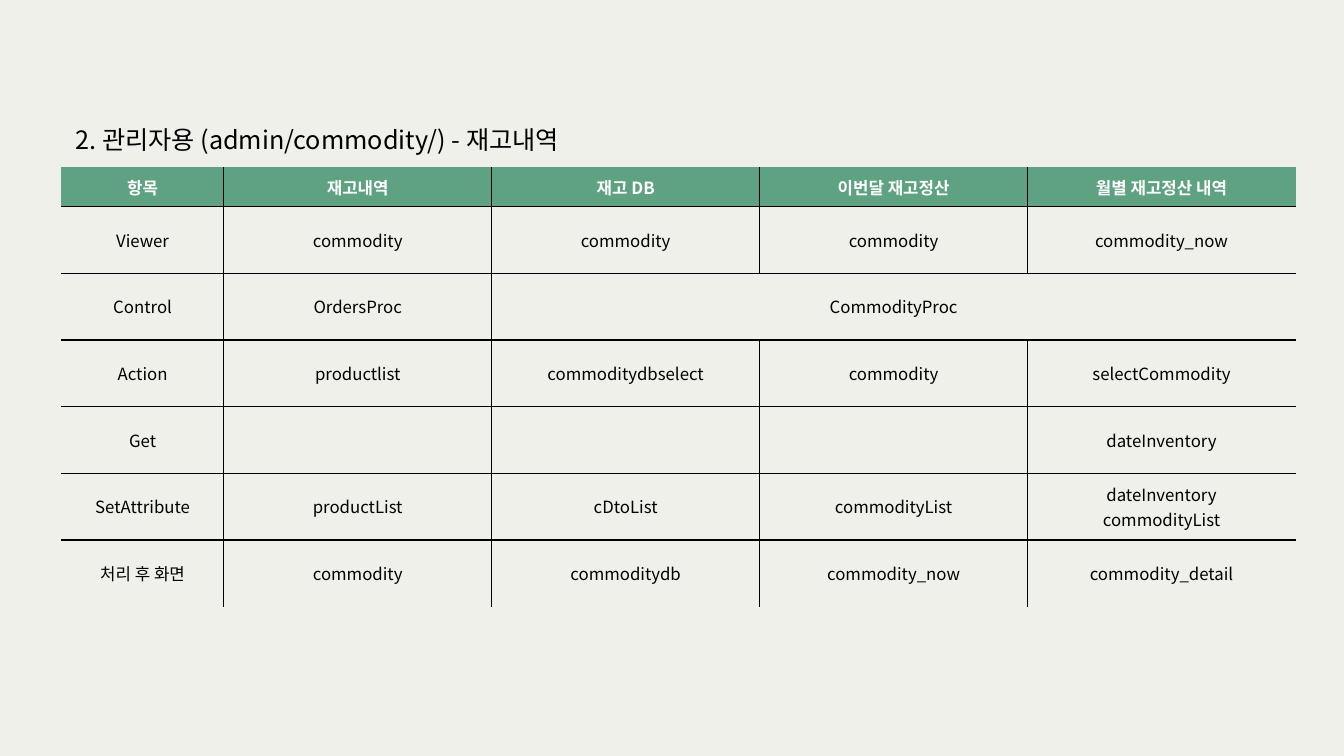
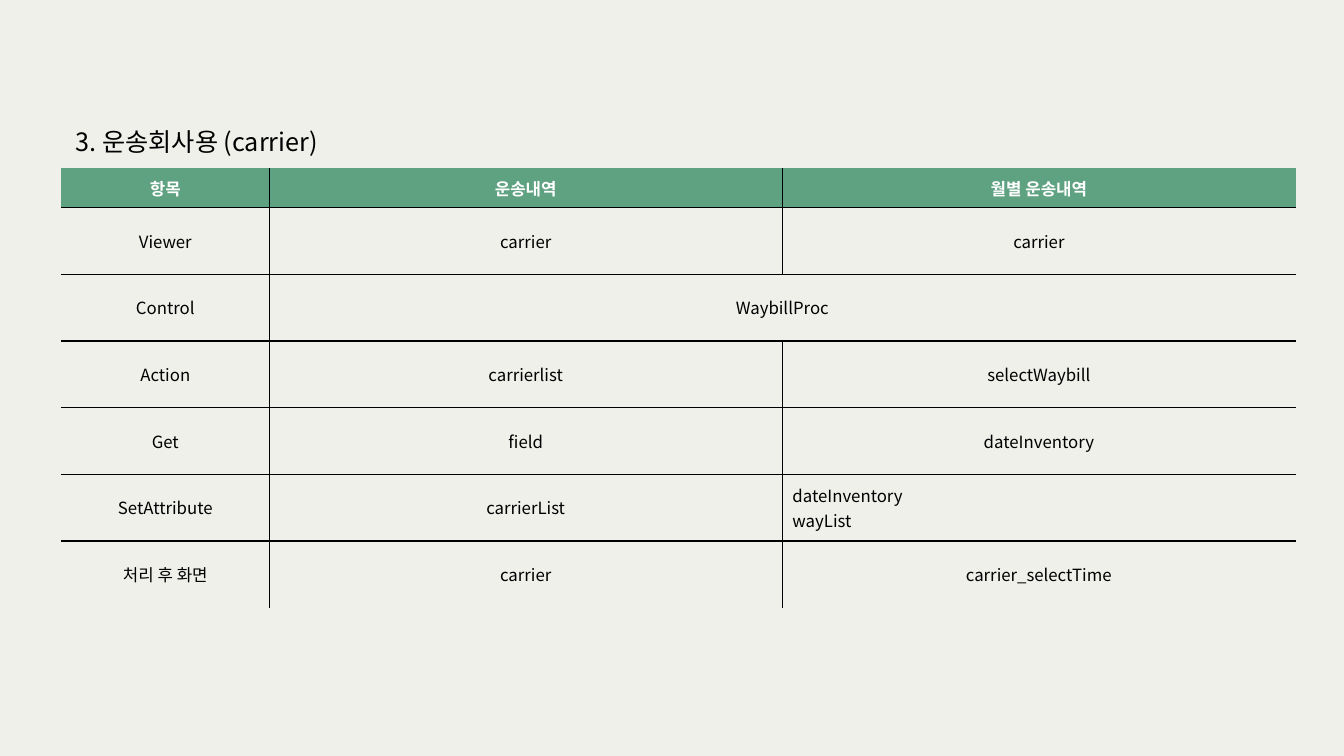
"""Build two slides that map each shop page to its controller, action and view."""
from dataclasses import dataclass

from lxml.etree import SubElement
from pptx import Presentation
from pptx.dml.color import RGBColor
from pptx.enum.text import MSO_ANCHOR, MSO_AUTO_SIZE, PP_ALIGN
from pptx.oxml.ns import qn
from pptx.presentation import Presentation as Deck
from pptx.slide import Slide
from pptx.table import Table, _Cell as Cell
from pptx.text.text import _Paragraph as Paragraph
from pptx.util import Inches, Pt

PAPER = RGBColor(0xEF, 0xF0, 0xEA)
GREEN = RGBColor(0x5F, 0xA2, 0x81)
BLACK = RGBColor(0x00, 0x00, 0x00)
WHITE = RGBColor(0xFF, 0xFF, 0xFF)
FONT = "Noto Sans CJK KR"

SLIDE_WIDTH, SLIDE_HEIGHT = 13.33, 7.5
TITLE_LEFT, TITLE_WIDTH, TITLE_HEIGHT = 0.65, 9.13, 0.4
TABLE_LEFT, TABLE_WIDTH, TABLE_HEIGHT = 0.61, 12.24, 4.36
HEADER_HEIGHT = 0.39
TITLE_ONLY = 5

ROW_LABELS = ("항목", "Viewer", "Control", "Action", "Get", "SetAttribute", "처리 후 화면")


@dataclass(frozen=True)
class PageMap:
    """One slide; None in a row continues the cell to its left."""

    title: str
    title_top: float
    table_top: float
    label_width: float
    rows: tuple[tuple[str | None, ...], ...]
    left_aligned: tuple[str, ...] = ()


PAGE_MAPS = (
    PageMap(
        title="2. 관리자용 (admin/commodity/) - 재고내역",
        title_top=1.18,
        table_top=1.66,
        label_width=1.61,
        rows=(
            ("재고내역", "재고 DB", "이번달 재고정산", "월별 재고정산 내역"),
            ("commodity", "commodity", "commodity", "commodity_now"),
            ("OrdersProc", "CommodityProc", None, None),
            ("productlist", "commoditydbselect", "commodity", "selectCommodity"),
            ("", "", "", "dateInventory"),
            ("productList", "cDtoList", "commodityList", "dateInventory\ncommodityList"),
            ("commodity", "commoditydb", "commodity_now", "commodity_detail"),
        ),
    ),
    PageMap(
        title="3. 운송회사용 (carrier)",
        title_top=1.2,
        table_top=1.67,
        label_width=2.06,
        rows=(
            ("운송내역", "월별 운송내역"),
            ("carrier", "carrier"),
            ("WaybillProc", None),
            ("carrierlist", "selectWaybill"),
            ("field", "dateInventory"),
            ("carrierList", "dateInventory\nwayList"),
            ("carrier", "carrier_selectTime"),
        ),
        left_aligned=("dateInventory\nwayList",),
    ),
)


def add_run(paragraph: Paragraph, text: str, size: float, color: RGBColor, bold: bool = False) -> None:
    """Append one formatted run."""
    run = paragraph.add_run()
    run.text = text
    run.font.size = Pt(size)
    run.font.bold = bold
    run.font.color.rgb = color
    run.font.name = FONT
    SubElement(run.font._element, qn("a:ea"), typeface=FONT)


def add_title(slide: Slide, page: PageMap) -> None:
    """Move and fill the title placeholder."""
    title = slide.shapes.title
    title.left, title.top = Inches(TITLE_LEFT), Inches(page.title_top)
    title.width, title.height = Inches(TITLE_WIDTH), Inches(TITLE_HEIGHT)
    frame = title.text_frame
    frame.word_wrap = True
    frame.auto_size = MSO_AUTO_SIZE.NONE
    frame.vertical_anchor = MSO_ANCHOR.TOP
    heading = frame.paragraphs[0]
    heading.alignment = PP_ALIGN.LEFT
    add_run(heading, page.title, 18, BLACK)


def set_borders(cell: Cell, ruled: dict[str, bool]) -> None:
    """Rule the chosen sides of a cell and clear the others."""
    properties = cell._tc.get_or_add_tcPr()
    for side, visible in ruled.items():
        line = SubElement(properties, qn(f"a:ln{side}"), w=str(Pt(1)))
        if visible:
            fill = SubElement(line, qn("a:solidFill"))
            SubElement(fill, qn("a:srgbClr"), val=str(BLACK))
        else:
            SubElement(line, qn("a:noFill"))


def fill_cell(cell: Cell, text: str, is_header: bool, alignment: PP_ALIGN) -> None:
    """Set the background and the text of a cell."""
    if is_header:
        cell.fill.solid()
        cell.fill.fore_color.rgb = GREEN
    else:
        cell.fill.background()
    cell.vertical_anchor = MSO_ANCHOR.MIDDLE
    frame = cell.text_frame
    for number, entry in enumerate(text.split("\n") if text else ()):
        paragraph = frame.add_paragraph() if number else frame.paragraphs[0]
        paragraph.alignment = alignment
        add_run(paragraph, entry, 12, WHITE if is_header else BLACK, is_header)


def size_grid(table: Table, label_width: float) -> None:
    """Share the width and height left by the labels and the header equally."""
    page_width = (TABLE_WIDTH - label_width) / (len(table.columns) - 1)
    body_height = (TABLE_HEIGHT - HEADER_HEIGHT) / (len(table.rows) - 1)
    for number, column in enumerate(table.columns):
        column.width = Inches(page_width if number else label_width)
    for number, row in enumerate(table.rows):
        row.height = Inches(body_height if number else HEADER_HEIGHT)


def add_page_table(slide: Slide, page: PageMap) -> None:
    """Draw the table with inner rules only."""
    grid = [(label, *values) for label, values in zip(ROW_LABELS, page.rows)]
    last_row, last_column = len(grid) - 1, len(grid[0]) - 1
    table = slide.shapes.add_table(
        last_row + 1, last_column + 1,
        Inches(TABLE_LEFT), Inches(page.table_top), Inches(TABLE_WIDTH), Inches(TABLE_HEIGHT),
    ).table
    table.horz_banding = False
    size_grid(table, page.label_width)
    for r, row in enumerate(grid):
        if None in row:
            table.cell(r, row.index(None) - 1).merge(table.cell(r, last_column))
        for c, text in enumerate(row):
            cell = table.cell(r, c)
            set_borders(cell, {
                "L": c > 0 and text is not None,
                "R": c < last_column and row[c + 1] is not None,
                "T": r > 0,
                "B": r < last_row,
            })
            alignment = PP_ALIGN.LEFT if text in page.left_aligned else PP_ALIGN.CENTER
            fill_cell(cell, text or "", r == 0, alignment)


def build_deck() -> Deck:
    """Create the deck with its shared background and both slides."""
    deck = Presentation()
    deck.slide_width, deck.slide_height = Inches(SLIDE_WIDTH), Inches(SLIDE_HEIGHT)
    backdrop = deck.slide_master.background.fill
    backdrop.solid()
    backdrop.fore_color.rgb = PAPER
    for page in PAGE_MAPS:
        slide = deck.slides.add_slide(deck.slide_layouts[TITLE_ONLY])
        add_title(slide, page)
        add_page_table(slide, page)
    return deck


if __name__ == "__main__":
    build_deck().save("out.pptx")
